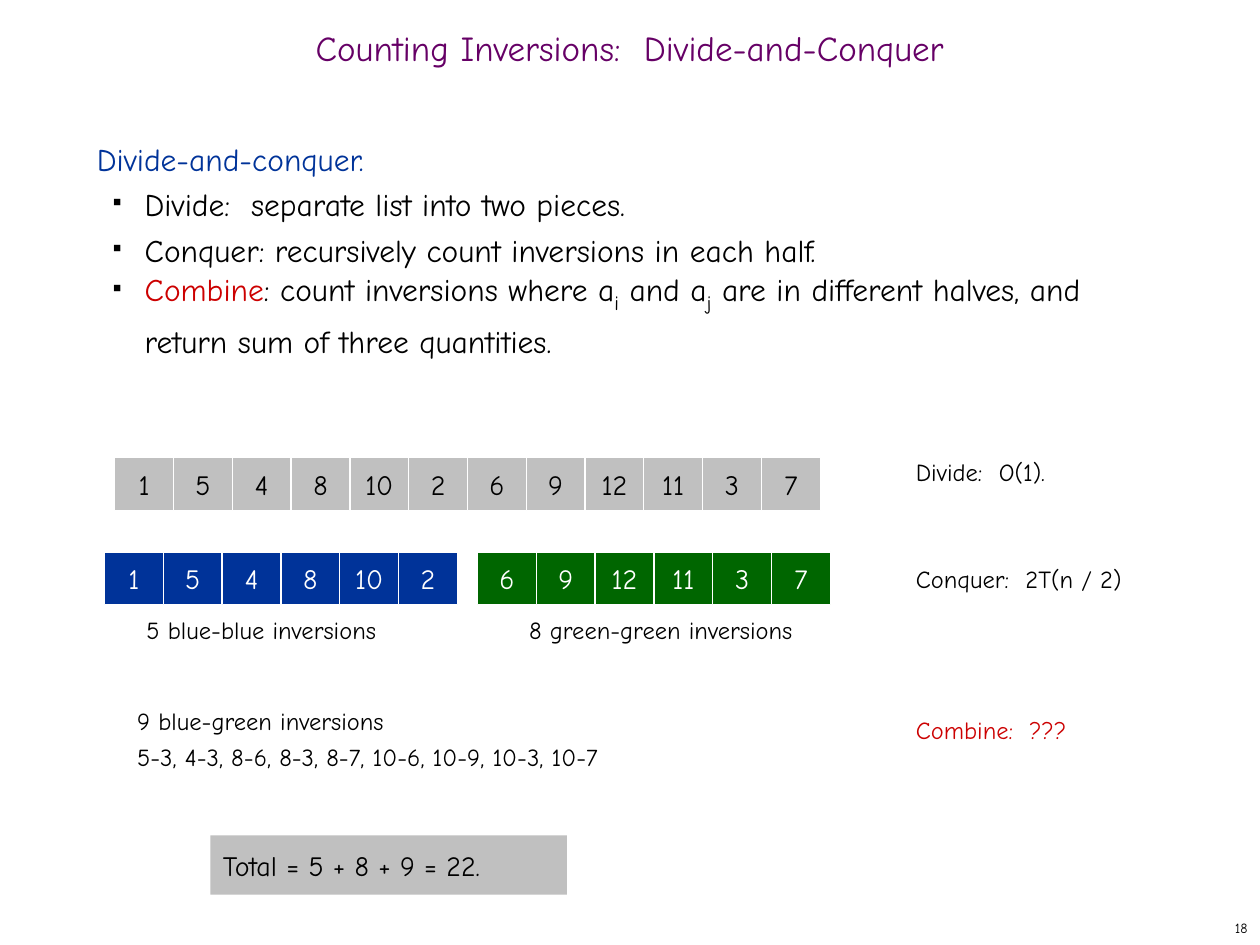
from dataclasses import dataclass

from lxml import etree
from pptx import Presentation
from pptx.dml.color import RGBColor
from pptx.enum.shapes import MSO_SHAPE
from pptx.enum.text import MSO_ANCHOR, PP_ALIGN
from pptx.oxml.ns import qn
from pptx.util import Inches, Pt

RECTANGLE = MSO_SHAPE.RECTANGLE
TOP, MIDDLE = MSO_ANCHOR.TOP, MSO_ANCHOR.MIDDLE
LEFT, CENTER, RIGHT = PP_ALIGN.LEFT, PP_ALIGN.CENTER, PP_ALIGN.RIGHT


@dataclass(frozen=True)
class Theme:
    font: str = "Comic Neue"
    black: str = "000000"
    white: str = "FFFFFF"
    gray: str = "C0C0C0"
    purple: str = "660066"
    blue: str = "003399"
    green: str = "006600"
    red: str = "CC0000"
    title_size: int = 20
    body_size: int = 18
    subscript_size: int = 20
    cell_size: int = 16
    note_size: int = 14
    number_size: int = 8


THEME = Theme()


def add_run(paragraph, text, *, size, color=THEME.black, subscript=False):
    run = paragraph.add_run()
    run.text = text
    run.font.name = THEME.font
    run.font.size = Pt(THEME.subscript_size if subscript else size)
    run.font.color.rgb = RGBColor.from_string(color)
    if subscript:
        run._r.get_or_add_rPr().set("baseline", "-25000")


def add_bullet(paragraph):
    properties = paragraph._p.get_or_add_pPr()
    properties.set("marL", str(Inches(0.38)))
    properties.set("indent", str(Inches(-0.25)))
    color = etree.SubElement(properties, qn("a:buClr"))
    etree.SubElement(color, qn("a:srgbClr"), val=THEME.black)
    etree.SubElement(properties, qn("a:buSzPct"), val="35000")
    etree.SubElement(properties, qn("a:buChar"), char="■")


class SlideBuilder:
    def __init__(self, slide, theme):
        self.slide = slide
        self.theme = theme

    def fill_text(self, shape, lines, *, size, color=THEME.black, align=LEFT, anchor=MIDDLE,
                  wrap=True, line_spacing=None, space_before=0):
        frame = shape.text_frame
        frame.word_wrap = wrap
        frame.vertical_anchor = anchor
        for index, line in enumerate(lines):
            paragraph = frame.add_paragraph() if index else frame.paragraphs[0]
            paragraph.alignment = align
            paragraph.space_before = Pt(space_before)
            if line_spacing is not None:
                paragraph.line_spacing = line_spacing
            add_run(paragraph, line, size=size, color=color)

    def text(self, lines, left, top, width, height, **style):
        shape = self.slide.shapes.add_textbox(
            Inches(left), Inches(top), Inches(width), Inches(height))
        self.fill_text(shape, lines, **style)

    def note(self, text, left, top, width, **style):
        self.text([text], left, top, width, 0.33, size=self.theme.note_size,
                  space_before=8.8, **style)

    def rectangle(self, text, left, top, width, height, fill, line=None, **style):
        shape = self.slide.shapes.add_shape(
            RECTANGLE, Inches(left), Inches(top), Inches(width), Inches(height))
        shape.shadow.inherit = False
        shape.fill.solid()
        shape.fill.fore_color.rgb = RGBColor.from_string(fill)
        if line:
            shape.line.color.rgb = RGBColor.from_string(line)
            shape.line.width = Pt(0.75)
        else:
            shape.line.fill.background()
        self.fill_text(shape, [text], size=self.theme.cell_size, **style)

    def array(self, values, left, top, fill, color):
        cell_width = 2.8 / 6
        for index, value in enumerate(values):
            self.rectangle(str(value), left + index * cell_width, top, cell_width, 0.42,
                           fill, line=self.theme.white, color=color, align=CENTER, wrap=False)

    def outline(self, heading, bullets, left, top, width, height):
        frame = self.slide.shapes.add_textbox(
            Inches(left), Inches(top), Inches(width), Inches(height)).text_frame
        frame.word_wrap = True
        frame.vertical_anchor = TOP
        heading_paragraph = frame.paragraphs[0]
        heading_paragraph.line_spacing = Pt(26)
        add_run(heading_paragraph, heading, size=self.theme.body_size, color=self.theme.blue)
        for runs in bullets:
            paragraph = frame.add_paragraph()
            paragraph.line_spacing = Pt(26)
            add_bullet(paragraph)
            for text, style in runs:
                add_run(paragraph, text, size=self.theme.body_size, **style)


def main():
    presentation = Presentation()
    presentation.slide_width = Inches(10)
    presentation.slide_height = Inches(7.5)
    slide = presentation.slides.add_slide(presentation.slide_layouts[6])
    builder = SlideBuilder(slide, THEME)

    builder.text(["Counting Inversions:  Divide-and-Conquer"], 0, 0.17, 10, 0.5,
                 size=THEME.title_size, color=THEME.purple, align=CENTER, line_spacing=0.7)

    subscript = {"subscript": True}
    builder.outline("Divide-and-conquer.", [
        [("Divide:  separate list into two pieces.", {})],
        [("Conquer: recursively count inversions in each half.", {})],
        [("Combine", {"color": THEME.red}),
         (": count inversions where a", {}), ("i", subscript),
         (" and a", {}), ("j", subscript),
         (" are in different halves, and return sum of three quantities.", {})],
    ], 0.67, 1, 8.58, 5.92)

    first_half = [1, 5, 4, 8, 10, 2]
    second_half = [6, 9, 12, 11, 3, 7]
    builder.array(first_half + second_half, 0.91, 3.63, THEME.gray, THEME.black)
    builder.array(first_half, 0.83, 4.38, THEME.blue, THEME.white)
    builder.array(second_half, 3.79, 4.38, THEME.green, THEME.white)

    builder.note("5 blue-blue inversions", 1.06, 4.83, 2.03, align=CENTER, wrap=False)
    builder.note("8 green-green inversions", 4.09, 4.83, 2.31, align=CENTER, wrap=False)
    for text, top, width, color in [("Divide:  O(1).", 3.58, 1.49, THEME.black),
                                    ("Conquer:  2T(n / 2)", 4.43, 2.17, THEME.black),
                                    ("Combine:  ???", 5.63, 1.83, THEME.red)]:
        builder.note(text, 7.17, top, width, color=color)

    builder.text(["9 blue-green inversions", "5-3, 4-3, 8-6, 8-3, 8-7, 10-6, 10-9, 10-3, 10-7"],
                 0.99, 5.51, 5.67, 0.66, size=THEME.note_size, line_spacing=1.2)
    builder.rectangle("Total = 5 + 8 + 9 = 22.", 1.67, 6.63, 2.83, 0.47, THEME.gray,
                      space_before=10)
    builder.text(["18"], 7.92, 7.25, 2.08, 0.25, size=THEME.number_size, align=RIGHT, anchor=TOP)

    presentation.save("out.pptx")


if __name__ == "__main__":
    main()
